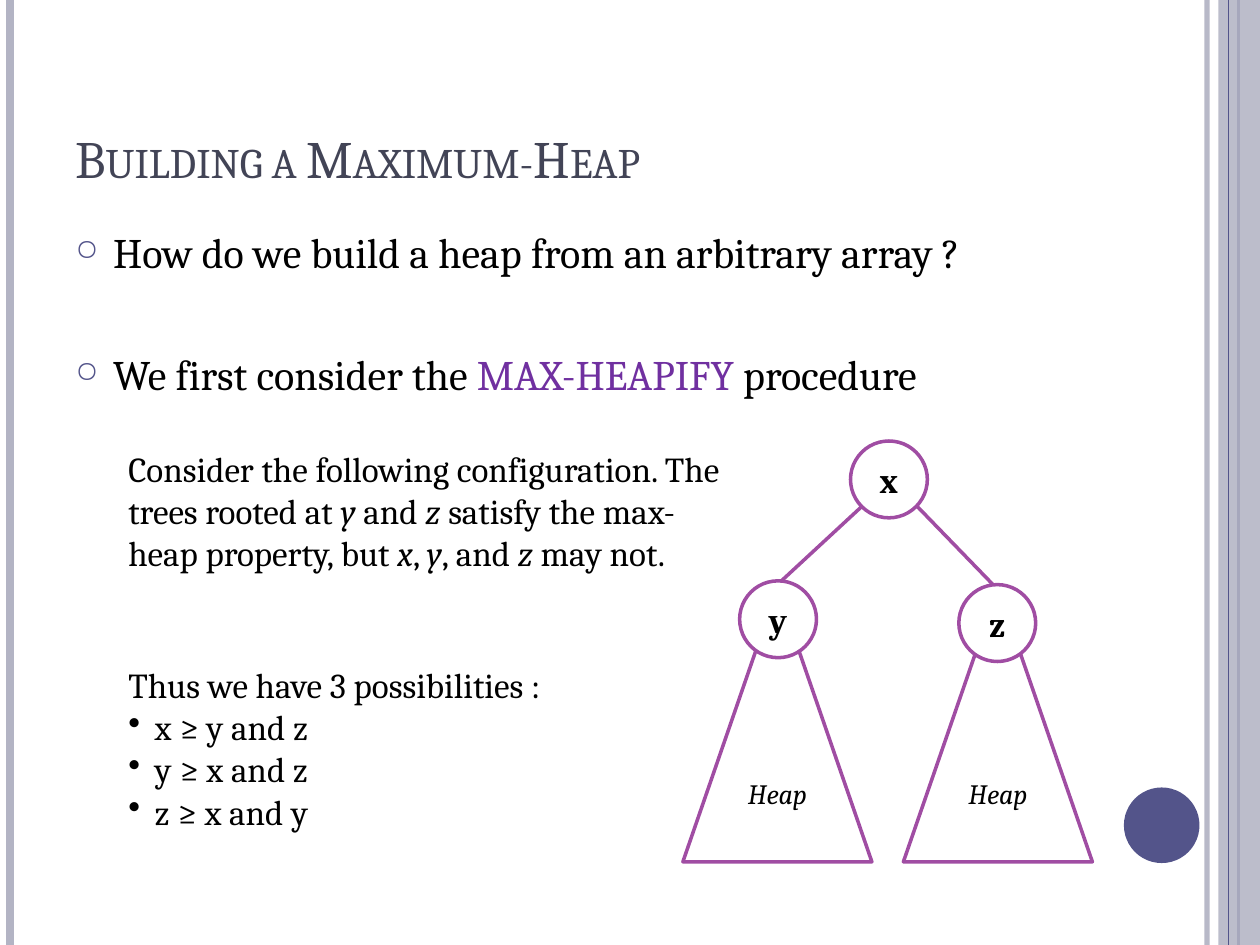
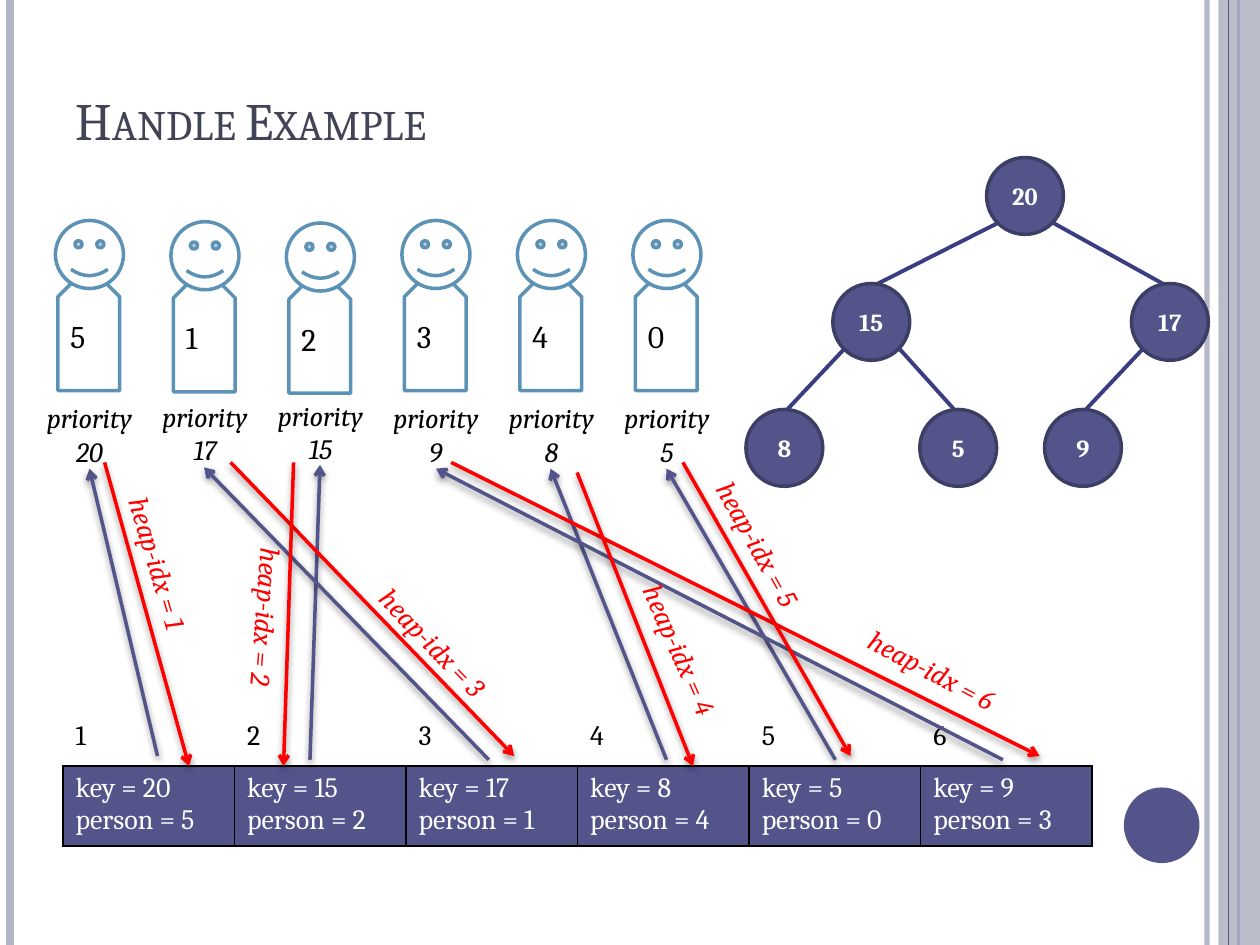
"""Build two slides on heaps: max-heapify and the handle example."""
from lxml import etree
from pptx import Presentation
from pptx.dml.color import RGBColor
from pptx.enum.shapes import MSO_CONNECTOR, MSO_SHAPE
from pptx.enum.text import MSO_ANCHOR, MSO_AUTO_SIZE, PP_ALIGN
from pptx.oxml.ns import qn
from pptx.util import Inches, Pt

STRAIGHT = MSO_CONNECTOR.STRAIGHT
RECT, OVAL = MSO_SHAPE.RECTANGLE, MSO_SHAPE.OVAL
TRIANGLE, PLATE, FACE = MSO_SHAPE.ISOSCELES_TRIANGLE, MSO_SHAPE.PENTAGON, MSO_SHAPE.SMILEY_FACE
TOP, MIDDLE, BOTTOM = MSO_ANCHOR.TOP, MSO_ANCHOR.MIDDLE, MSO_ANCHOR.BOTTOM
LEFT, CENTER = PP_ALIGN.LEFT, PP_ALIGN.CENTER
GROW = MSO_AUTO_SIZE.SHAPE_TO_FIT_TEXT


class Theme:
    font = "Cambria"
    black, white, red = "000000", "FFFFFF", "FF0000"
    indigo, band, title = "53548A", "B3B4C4", "424456"
    purple, keyword = "A04DA3", "7030A0"
    node_line, edge, person = "3D3E66", "3B3D82", "5C92B5"
    title_size, body_size, text_size = Pt(30), Pt(24), Pt(20)
    digit_size, small_size, node_size = Pt(18), Pt(16), Pt(14)


def draw(s, kind, box, paras=(), fmt=None, fill=None, line=None, align=CENTER, anchor=MIDDLE, wrap=True):
    box = [Inches(v) for v in box]
    if kind is None:
        sp = s.shapes.add_textbox(*box)
    else:
        sp = s.shapes.add_shape(kind, *box)
        sp.shadow.inherit = False
        sp.fill.solid()
        sp.fill.fore_color.rgb = RGBColor.from_string(fill)
        if line:
            sp.line.color.rgb = RGBColor.from_string(line)
            sp.line.width = Pt(2)
        else:
            sp.line.fill.background()
    tf = sp.text_frame
    tf.word_wrap = wrap
    tf.vertical_anchor = anchor
    for i, runs in enumerate(paras):
        p = tf.paragraphs[0] if i == 0 else tf.add_paragraph()
        p.alignment = align
        for text, extra in [(runs, {})] if isinstance(runs, str) else runs:
            r = p.add_run()
            r.text = text
            values = {"name": Theme.font, "color": Theme.black, **(fmt or {}), **extra}
            for key, value in values.items():
                if key == "color":
                    r.font.color.rgb = RGBColor.from_string(value)
                else:
                    setattr(r.font, key, value)
    return sp


def connect(s, x1, y1, x2, y2, color, width=2, arrow=False):
    cx = s.shapes.add_connector(STRAIGHT, Inches(x1), Inches(y1), Inches(x2), Inches(y2))
    cx.line.color.rgb = RGBColor.from_string(color)
    cx.line.width = Pt(width)
    spPr = cx._element.spPr
    effects = etree.SubElement(spPr, qn("a:effectLst"))
    if arrow:
        etree.SubElement(spPr.find(qn("a:ln")), qn("a:tailEnd"), type="arrow")
        shadow = etree.SubElement(effects, qn("a:outerShdw"), blurRad=str(Pt(4)),
                                  dist=str(Pt(2)), dir="5400000", rotWithShape="0")
        tint = etree.SubElement(shadow, qn("a:srgbClr"), val=Theme.black)
        etree.SubElement(tint, qn("a:alpha"), val="40000")
    return cx


prs = Presentation()
prs.slide_width, prs.slide_height = Inches(10), Inches(7.5)

for title, height in (("Building a Maximum-Heap", 1.25), ("Handle Example", 0.95)):
    s = prs.slides.add_slide(prs.slide_layouts[6])
    edge_line = connect(s, 9.58, 0, 9.58, 7.5, Theme.band, 3)
    connect(s, 0.08, 0, 0.08, 7.5, Theme.band, 4.5)
    connect(s, 9.83, 0, 9.83, 7.5, Theme.indigo, 1.5)
    side_band = draw(s, RECT, (9.67, 0, 0.33, 7.5), fill=Theme.band)
    connect(s, 9.75, 0, 9.75, 7.5, Theme.indigo, 0.75)
    draw(s, OVAL, (8.92, 6.25, 0.6, 0.6), fill=Theme.indigo)
    for sp, alpha in ((edge_line, "93000"), (side_band, "87000")):
        tint = sp._element.spPr.find(".//" + qn("a:srgbClr"))
        etree.SubElement(tint, qn("a:alpha"), val=alpha)
    sp = draw(s, None, (0.5, 0.3, 8.17, height), [title],
              {"size": Theme.title_size, "color": Theme.title}, align=LEFT, anchor=BOTTOM)
    sp.text_frame.paragraphs[0].runs[0].font._element.set("cap", "small")

heapify, handles = prs.slides

questions = draw(heapify, None, (0.5, 1.75, 8.17, 1.92), [
    "How do we build a heap from an arbitrary array ?",
    [("We first consider the ", {}), ("MAX-HEAPIFY", {"color": Theme.keyword}), (" procedure", {})],
], {"size": Theme.body_size}, align=LEFT, anchor=TOP)
italic = {"italic": True}
draw(heapify, None, (0.92, 3.5, 5, 1.45), [[
    ("Consider the following configuration. The trees rooted at ", {}), ("y", italic), (" and ", {}),
    ("z", italic), (" satisfy the max-heap property, but ", {}), ("x", italic), (", ", {}),
    ("y", italic), (", and ", {}), ("z", italic), (" may not.", {}),
]], {"size": Theme.text_size}, align=LEFT, anchor=TOP)
cases = draw(heapify, None, (0.92, 5.22, 4.5, 1.45), [
    "Thus we have 3 possibilities :", "x ≥ y and z", "y ≥ x and z", "z ≥ x and y",
], {"size": Theme.text_size}, align=LEFT, anchor=TOP)

first, second = questions.text_frame.paragraphs
first.space_before, second.space_before = Pt(6), Pt(41)
bulleted = [(p, "○", 0.3, Theme.indigo, "70000") for p in (first, second)]
bulleted += [(p, "•", 0.21, Theme.black, "100000") for p in cases.text_frame.paragraphs[1:]]
for p, char, indent, color, size in bulleted:
    pPr = p._p.get_or_add_pPr()
    pPr.set("marL", str(Inches(indent)))
    pPr.set("indent", str(-Inches(indent)))
    etree.SubElement(etree.SubElement(pPr, qn("a:buClr")), qn("a:srgbClr"), val=color)
    etree.SubElement(pPr, qn("a:buSzPct"), val=size)
    etree.SubElement(pPr, qn("a:buChar"), char=char)

heap_nodes = [("x", 6.75, 3.5, None), ("y", 5.87, 4.61, 0), ("z", 7.61, 4.64, 0)]
example_nodes = [("20", 7.83, 1.25, None), ("15", 6.61, 2.25, 0), ("17", 8.98, 2.25, 0),
                 ("8", 5.92, 3.25, 1), ("5", 7.3, 3.25, 1), ("9", 8.29, 3.25, 2)]
trees = [
    (heapify, heap_nodes, Theme.purple, 2, Theme.white, Theme.purple,
     {"size": Theme.text_size, "color": Theme.black, "bold": True}),
    (handles, example_nodes, Theme.edge, 2.25, Theme.indigo, Theme.node_line,
     {"size": Theme.node_size, "color": Theme.white, "bold": True}),
]
for x in (5.42, 7.17):
    draw(heapify, TRIANGLE, (x, 4.67, 1.5, 2.17), ["Heap"], {"size": Theme.small_size, "italic": True},
         Theme.white, Theme.purple)
for s, nodes, edge, width, fill, outline, fmt in trees:
    for label, x, y, parent in nodes:
        if parent is not None:
            px, py = nodes[parent][1:3]
            side = 0.09 if x < px else 0.53
            connect(s, px + side, py + 0.52, x + 0.3, y + 0.03, edge, width)
    for label, x, y, parent in nodes:
        draw(s, OVAL, (x, y, 0.61, 0.61), [label], fmt, fill, outline)

entries = [(20, 5), (15, 2), (17, 1), (8, 4), (5, 0), (9, 3)]
table = handles.shapes.add_table(2, 6, Inches(0.5), Inches(5.67), Inches(8.17), Inches(1.03)).table
table.first_row = table.horz_banding = False
table.rows[0].height, table.rows[1].height = Inches(0.41), Inches(0.62)
for col, (key, person) in enumerate(entries):
    rows = [(str(col + 1), Theme.black, ["lnB"]),
            (f"key = {key}\nperson = {person}", Theme.white, ["lnL", "lnR", "lnT", "lnB"])]
    for row, (text, color, borders) in enumerate(rows):
        cell = table.cell(row, col)
        cell.text = text
        for p in cell.text_frame.paragraphs:
            font = p.runs[0].font
            font.name, font.size = Theme.font, Theme.small_size
            font.color.rgb = RGBColor.from_string(color)
        for border in borders:
            ln = etree.SubElement(cell._tc.get_or_add_tcPr(), qn("a:" + border), w=str(Pt(1)))
            etree.SubElement(etree.SubElement(ln, qn("a:solidFill")), qn("a:srgbClr"), val=Theme.black)
        if row:
            cell.fill.solid()
            cell.fill.fore_color.rgb = RGBColor.from_string(Theme.indigo)
        else:
            cell.fill.background()

people = [("5", "20", 0), ("1", "17", 0.01), ("2", "15", 0.02), ("3", "9", 0), ("4", "8", 0), ("0", "5", 0)]
for i, (person, priority, drop) in enumerate(people):
    x = 0.25 + i * 11 / 12
    body = draw(handles, PLATE, (x - 0.04, 2.36 + drop, 0.99, 0.49), [person],
                {"size": Theme.digit_size}, Theme.white, Theme.person)
    body.rotation = 270
    body.text_frame._txBody.bodyPr.set("vert", "eaVert")
    draw(handles, FACE, (x + 0.19, 1.75 + drop, 0.54, 0.54), fill=Theme.white, line=Theme.person)
    sp = draw(handles, None, (x, 3.13 - drop, 0.92, 0.59), ["priority", priority],
              {"size": Theme.small_size, "italic": True}, anchor=TOP, wrap=False)
    sp.text_frame.auto_size = GROW

to_person = [(1.25, 6, 0.71, 3.72), (2.46, 6.03, 2.54, 3.69), (3.88, 6.03, 1.62, 3.71),
             (5.29, 6.03, 4.37, 3.72), (6.63, 6.03, 5.29, 3.72), (7.96, 6.03, 3.46, 3.72)]
to_heap = [(0.83, 3.67, 1.5, 6.08), (1.83, 3.67, 4.08, 6), (2.33, 3.67, 2.25, 6.08),
           (3.58, 3.67, 8.25, 6), (4.58, 3.75, 5.5, 6.08), (5.42, 3.67, 6.75, 6)]
for color, arrows in ((Theme.indigo, to_person), (Theme.red, to_heap)):
    for ends in arrows:
        connect(handles, *ends, color, arrow=True)

index_labels = [(0.54, 4.39, 73.3), (1.36, 4.81, 94.3), (2.76, 4.99, 46),
                (4.69, 5.06, 66.3), (5.32, 4.22, 60.9), (6.74, 5.18, 27.7)]
for i, (x, y, angle) in enumerate(index_labels, 1):
    sp = draw(handles, None, (x, y, 1.49, 0.37), [f"heap-idx = {i}"],
              {"size": Theme.small_size, "color": Theme.red, "italic": True},
              align=LEFT, anchor=TOP, wrap=False)
    sp.text_frame.auto_size = GROW
    sp.rotation = angle

prs.save("out.pptx")
